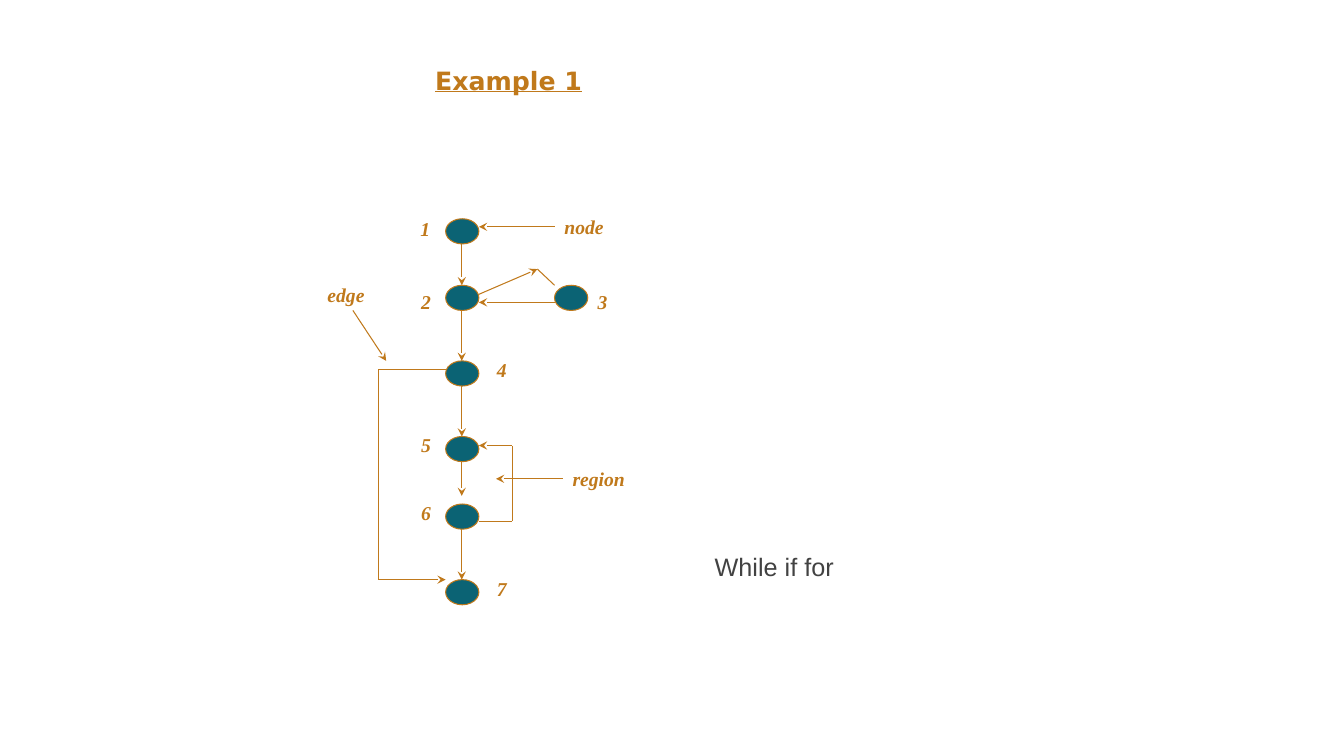
from lxml.etree import SubElement
from pptx import Presentation
from pptx.dml.color import RGBColor
from pptx.enum.shapes import MSO_CONNECTOR, MSO_SHAPE
from pptx.enum.text import MSO_AUTO_SIZE, PP_ALIGN
from pptx.oxml.ns import qn
from pptx.util import Inches, Pt

ORANGE = RGBColor(0xC0, 0x79, 0x1B)
TEAL = RGBColor(0x0B, 0x63, 0x74)
GRAY = RGBColor(0x42, 0x42, 0x42)

NODE_WIDTH, NODE_HEIGHT = 0.33, 0.25
MAIN_LEFT, LOOP_LEFT = 4.42, 5.5
MAIN_RIGHT, MAIN_CENTER = 4.75, 4.58

# number: node left, node top, label left, label top
NODES = {
    "1": (MAIN_LEFT, 2.17, 4.07, 2.1),
    "2": (MAIN_LEFT, 2.83, 4.08, 2.83),
    "3": (LOOP_LEFT, 2.83, 5.83, 2.83),
    "4": (MAIN_LEFT, 3.58, 4.83, 3.5),
    "5": (MAIN_LEFT, 4.33, 4.08, 4.25),
    "6": (MAIN_LEFT, 5, 4.08, 4.92),
    "7": (MAIN_LEFT, 5.75, 4.83, 5.67),
}

# start and end height of each arrow down the main column
DOWN_STEPS = [(2.42, 2.83), (3.08, 3.58), (3.83, 4.33), (4.58, 4.92), (5.25, 5.75)]

# corner points of each route; the arrowhead is on the last leg
ROUTES = [
    [(LOOP_LEFT, 3), (MAIN_RIGHT, 3)],
    [(MAIN_LEFT, 3.67), (3.75, 3.67), (3.75, 5.75), (MAIN_LEFT, 5.75)],
    [(MAIN_RIGHT, 5.17), (5.08, 5.17), (5.08, 4.42), (MAIN_RIGHT, 4.42)],
    [(MAIN_RIGHT, 2.92), (5.33, 2.67)],
]

# word: left, top, width, pointer start, pointer end
CALLOUTS = {
    "edge": (3.15, 2.76, 0.57, (3.5, 3.08), (3.83, 3.58)),
    "node": (5.5, 2.08, 0.59, (5.5, 2.25), (MAIN_RIGHT, 2.25)),
    "region": (5.58, 4.58, 0.72, (5.58, 4.75), (4.92, 4.75)),
}


class FlowGraph:
    """Draws the parts of a flow graph on one page in a shared style."""

    def __init__(self, page):
        self.shapes = page.shapes
        self.line_width = Pt(0.75)

    def style_line(self, line):
        line.color.rgb = ORANGE
        line.width = self.line_width

    def text(self, words, left, top, width, height=0.33, *, size=14,
             font="Times New Roman", color=ORANGE, bold=True, italic=True,
             underline=False, align=PP_ALIGN.LEFT, wrap=False):
        box = self.shapes.add_textbox(
            Inches(left), Inches(top), Inches(width), Inches(height))
        frame = box.text_frame
        frame.word_wrap = wrap
        frame.auto_size = MSO_AUTO_SIZE.SHAPE_TO_FIT_TEXT
        para = frame.paragraphs[0]
        para.alignment = align
        span = para.add_run()
        span.text = words
        span.font.name = font
        span.font.size = Pt(size)
        span.font.color.rgb = color
        span.font.bold = bold
        span.font.italic = italic
        span.font.underline = underline

    def node(self, left, top):
        oval = self.shapes.add_shape(
            MSO_SHAPE.OVAL, Inches(left), Inches(top),
            Inches(NODE_WIDTH), Inches(NODE_HEIGHT))
        oval.shadow.inherit = False
        oval.fill.solid()
        oval.fill.fore_color.rgb = TEAL
        self.style_line(oval.line)

    def line(self, start, end, arrow=False):
        edge = self.shapes.add_connector(
            MSO_CONNECTOR.STRAIGHT, *(Inches(value) for value in (*start, *end)))
        self.style_line(edge.line)
        if arrow:
            SubElement(edge.line._get_or_add_ln(), qn("a:tailEnd"), type="stealth")
        SubElement(edge._element.spPr, qn("a:effectLst"))

    def route(self, points):
        """Join the points with straight legs and put an arrowhead at the end."""
        for start, end in zip(points, points[1:]):
            self.line(start, end, arrow=end == points[-1])


def main():
    deck = Presentation()
    deck.slide_width, deck.slide_height = Inches(13.33), Inches(7.5)
    page = deck.slides.add_slide(deck.slide_layouts[6])
    graph = FlowGraph(page)

    graph.text("Example 1", 1.71, 0.6, 6.67, 0.4, size=18, font="DejaVu Sans",
               italic=False, underline=True, align=PP_ALIGN.CENTER, wrap=True)

    for number, (left, top, label_left, label_top) in NODES.items():
        graph.node(left, top)
        graph.text(number, label_left, label_top, 0.3)

    for start, end in DOWN_STEPS:
        graph.route([(MAIN_CENTER, start), (MAIN_CENTER, end)])
    for points in ROUTES:
        graph.route(points)
    graph.line((5.33, 2.67), (LOOP_LEFT, 2.83))

    for word, (left, top, width, start, end) in CALLOUTS.items():
        graph.text(word, left, top, width)
        graph.route([start, end])

    graph.text("While if for", 6.99, 5.42, 3.09, 0.4, size=18, font="Arial",
               color=GRAY, bold=False, italic=False, wrap=True)

    deck.save("out.pptx")


if __name__ == "__main__":
    main()
